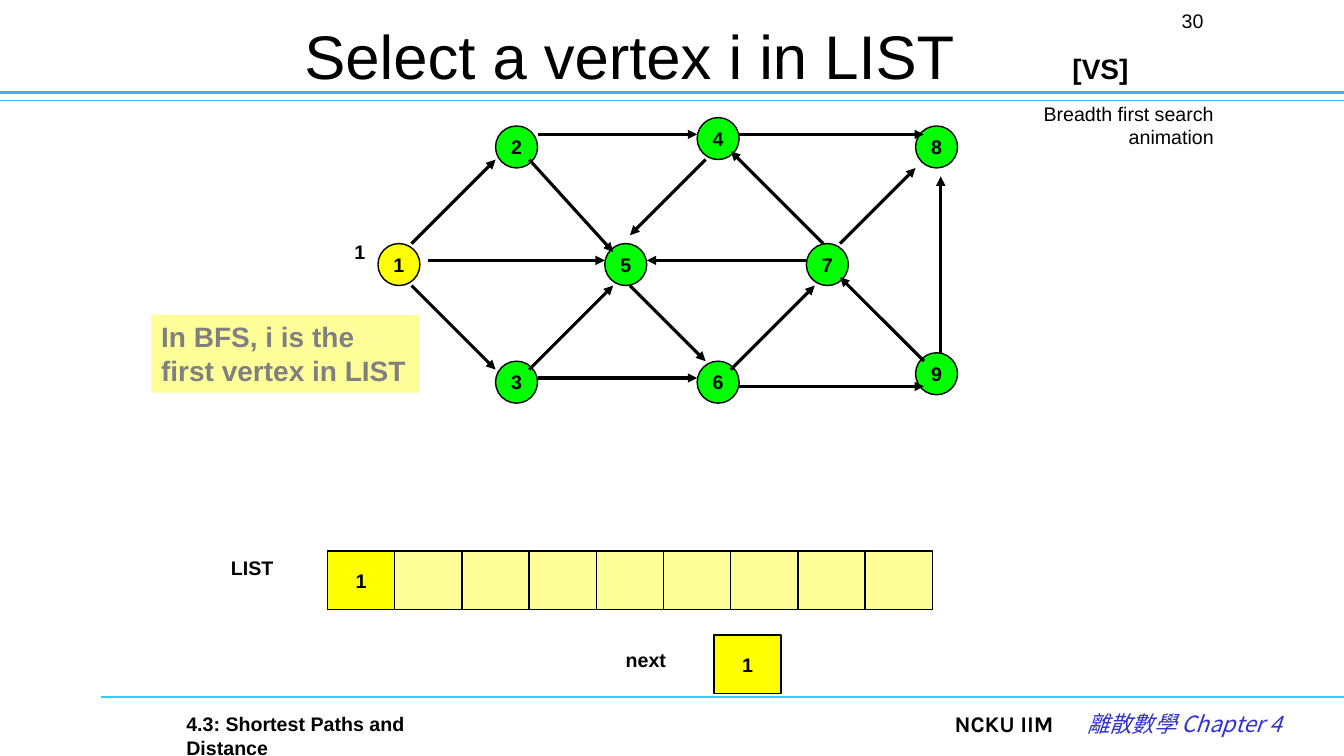
import lxml.etree
import pptx
import pptx.dml.color
import pptx.enum.shapes
import pptx.enum.text
import pptx.oxml.ns
import pptx.util

RGBColor = pptx.dml.color.RGBColor
Shape = pptx.enum.shapes.MSO_SHAPE
Align = pptx.enum.text.PP_ALIGN
Anchor = pptx.enum.text.MSO_ANCHOR
qn = pptx.oxml.ns.qn

BLACK = RGBColor(0x00, 0x00, 0x00)
GRAY = RGBColor(0x80, 0x80, 0x80)
GREEN = RGBColor(0x00, 0xFF, 0x00)
YELLOW = RGBColor(0xFF, 0xFF, 0x00)
PALE_YELLOW = RGBColor(0xFF, 0xFF, 0x99)
SKY = RGBColor(0x3D, 0xB0, 0xFF)
CYAN = RGBColor(0x33, 0xCC, 0xFF)
INDIGO = RGBColor(0x33, 0x33, 0xCC)


def grid(*steps):
    """Turn steps of the drawing grid, twelve to the inch, into lengths."""
    return [pptx.util.Cm(step * 2.54 / 12) for step in steps]


def write(shape, text, align=Align.LEFT, anchor=Anchor.TOP, wrap=True, **font_format):
    frame = shape.text_frame
    frame.word_wrap = wrap
    frame.vertical_anchor = anchor
    paragraph = frame.paragraphs[0]
    paragraph.alignment = align
    run = paragraph.add_run()
    run.text = text
    values = {"name": "Arial", "size": 14, "bold": True, "italic": False, "color": BLACK}
    values.update(font_format)
    run.font.color.rgb = values.pop("color")
    values["size"] = pptx.util.Pt(values["size"])
    for attribute, value in values.items():
        setattr(run.font, attribute, value)
    return run


presentation = pptx.Presentation()
presentation.slide_width, presentation.slide_height = grid(160, 90)
slide = presentation.slides.add_slide(presentation.slide_layouts[5])

# Title
title = slide.shapes.title
title.left, title.top, title.width, title.height = grid(24, 3, 102, 7)
write(title, "Select a vertex i in LIST", Align.CENTER, Anchor.MIDDLE, size=44, bold=False)

# Graph vertices, list cells and the "next" cell
vertices = {
    "2": (59, 15), "4": (83, 14), "5": (72, 29), "3": (59, 43), "6": (83, 43),
    "9": (109, 42), "7": (96, 29), "8": (109, 15), "1": (45, 29),
}
boxes = [
    (Shape.OVAL, (left, top, 5, 5), YELLOW if label == "1" else GREEN, label)
    for label, (left, top) in vertices.items()
]
for index in range(9):
    fill, label = (PALE_YELLOW, "") if index else (YELLOW, "1")
    boxes.append((Shape.RECTANGLE, (39 + 8 * index, 65.6, 8, 7), fill, label))
boxes.append((Shape.RECTANGLE, (85, 75.6, 8, 7), YELLOW, "1"))

for kind, place, fill, label in boxes:
    box = slide.shapes.add_shape(kind, *grid(*place))
    box.shadow.inherit = False
    box.fill.solid()
    box.fill.fore_color.rgb = fill
    box.line.color.rgb = BLACK
    box.line.width = pptx.util.Pt(1)
    if label:
        write(box, label, Align.CENTER, Anchor.MIDDLE, wrap=False)

# Page rules and graph edges
edges = [
    (49, 29, 59, 19), (49, 34, 59, 44), (51, 31, 72, 31),
    (64, 16, 83, 16), (63, 19, 73, 30),
    (63, 44, 73, 34), (64, 45, 83, 45),
    (88, 16, 110, 16), (84, 19, 75, 28),
    (75, 34, 84, 43),
    (88, 46, 110, 46), (87, 44, 97, 34),
    (100, 29, 109, 20), (98, 29, 87, 18), (96, 31, 77, 31),
    (110, 43, 100, 33), (112, 42, 112, 21),
]
lines = [
    ((0, 12, 160, 12), SKY, 0.75, False),
    ((0, 11, 160, 11), SKY, 2.5, False),
    ((12, 83, 160, 83), CYAN, 1, False),
] + [(edge, BLACK, 2.25, True) for edge in edges]

for ends, color, width, has_arrow in lines:
    connector = slide.shapes.add_connector(
        pptx.enum.shapes.MSO_CONNECTOR.STRAIGHT, *grid(*ends))
    connector.line.color.rgb = color
    connector.line.width = pptx.util.Pt(width)
    if has_arrow:
        outline = connector.line._get_or_add_ln()
        lxml.etree.SubElement(outline, qn("a:tailEnd"), type="triangle")
    lxml.etree.SubElement(connector._element.spPr, qn("a:effectLst"))

# Callout
callout = slide.shapes.add_shape(Shape.RECTANGLE, *grid(18, 37.5, 32, 9.25))
callout.shadow.inherit = False
callout.fill.solid()
callout.fill.fore_color.rgb = PALE_YELLOW
callout.line.fill.background()
write(callout, "In BFS, i is the first vertex in LIST", size=20, color=GRAY)

# Labels and footer
captions = [
    ((26.3, 65.6, 8, 4), "LIST", {}),
    ((73.3, 76.5, 8, 4), "next", {}),
    ((41, 28, 4, 4), "1", {}),
    ((115, 11.5, 30.7, 6), "Breadth first search animation",
     {"align": Align.RIGHT, "bold": False}),
    ((139.5, 0.5, 5.5, 5), "30", {"bold": False}),
    ((21, 84.2, 31, 5.5), "4.3: Shortest Paths and Distance", {}),
    ((126.5, 5.5, 12, 5.25), "[VS]", {"size": 20}),
    ((106.6, 84, 20, 6), "NCKU IIM",
     {"align": Align.RIGHT, "size": 16, "name": "Karla"}),
]
for place, text, text_format in captions:
    write(slide.shapes.add_textbox(*grid(*place)), text, **text_format)

chapter = slide.shapes.add_textbox(*grid(123.8, 84, 30, 6))
chapter_run = write(chapter, "離散數學 Chapter 4", Align.RIGHT, size=16, bold=False,
                    italic=True, color=INDIGO, name="Noto Sans CJK SC")
lxml.etree.SubElement(chapter_run.font._element, qn("a:ea"), typeface="Noto Sans CJK SC")

presentation.save("out.pptx")
